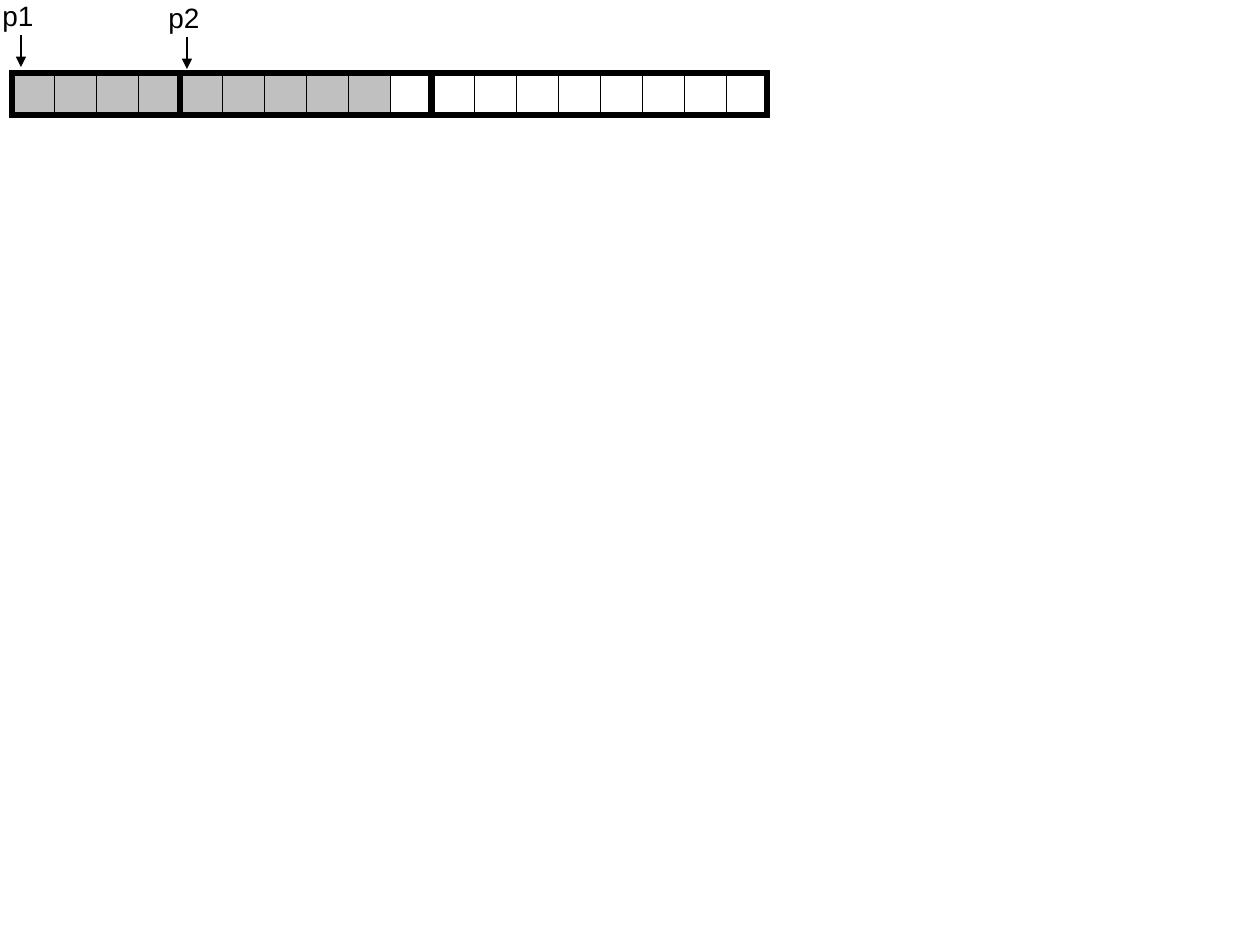
from lxml.etree import SubElement
from pptx import Presentation
from pptx.dml.color import RGBColor
from pptx.enum.shapes import MSO_CONNECTOR, MSO_SHAPE
from pptx.enum.text import MSO_ANCHOR, MSO_AUTO_SIZE, PP_ALIGN
from pptx.oxml.ns import qn
from pptx.util import Pt

PX_PER_INCH = 126
BLACK = RGBColor(0x00, 0x00, 0x00)
WHITE = RGBColor(0xFF, 0xFF, 0xFF)
GRAY = RGBColor(0xC0, 0xC0, 0xC0)

CELL = 42
ROW_LEFT, ROW_TOP = 12, 73
USED_CELLS = range(0, 9)
FREE_CELLS = range(10, 18)
# first cell, number of cells, shift to the right
BLOCKS = [(0, 4, 0), (4, 6, 0), (10, 8, -1)]
# name, label left, label top, arrow x, arrow top
POINTERS = [("p1", -12, -8, 21, 35), ("p2", 154, -6, 187, 37)]


def px(length):
    return round(length * 914400 / PX_PER_INCH)


def add_cells(page, first, count, fill, line_width, shift=0):
    """Outline a run of cells in the row, filled unless fill is None."""
    shape = page.shapes.add_shape(
        MSO_SHAPE.RECTANGLE, px(ROW_LEFT + first * CELL + shift), px(ROW_TOP),
        px(count * CELL), px(CELL))
    shape.shadow.inherit = False
    if fill is None:
        shape.fill.background()
    else:
        shape.fill.solid()
        shape.fill.fore_color.rgb = fill
    shape.line.color.rgb = BLACK
    shape.line.width = Pt(line_width)
    outline = shape.element.spPr.find(qn("a:ln"))
    SubElement(outline, qn("a:miter"), lim="800000")


def add_label(page, text, left, top):
    box = page.shapes.add_textbox(px(left), px(top), px(60), px(47))
    frame = box.text_frame
    frame.text = text
    frame.word_wrap = False
    frame.auto_size = MSO_AUTO_SIZE.SHAPE_TO_FIT_TEXT
    frame.vertical_anchor = MSO_ANCHOR.MIDDLE
    para = frame.paragraphs[0]
    para.alignment = PP_ALIGN.CENTER
    font = para.runs[0].font
    font.name = "Arial"
    font.size = Pt(16)
    font.color.rgb = BLACK


def add_down_arrow(page, x, top):
    arrow = page.shapes.add_connector(
        MSO_CONNECTOR.STRAIGHT, px(x), px(top), px(x), px(top + 32))
    arrow.line.color.rgb = BLACK
    arrow.line.width = Pt(1)
    properties = arrow.element.spPr
    SubElement(properties.find(qn("a:ln")), qn("a:tailEnd"), type="triangle")
    SubElement(properties, qn("a:effectLst"))


def main():
    deck = Presentation()
    deck.slide_width, deck.slide_height = px(1260), px(945)
    page = deck.slides.add_slide(deck.slide_layouts[6])

    # Memory cells
    for cells, fill in ((USED_CELLS, GRAY), (FREE_CELLS, WHITE)):
        for index in cells:
            add_cells(page, index, 1, fill, 0.25)

    # Pointers into the row
    for name, left, top, arrow_x, arrow_top in POINTERS:
        add_label(page, name, left, top)
        add_down_arrow(page, arrow_x, arrow_top)

    # Heavy frames around the blocks
    for first, count, shift in BLOCKS:
        add_cells(page, first, count, None, 3, shift)

    deck.save("out.pptx")


if __name__ == "__main__":
    main()
